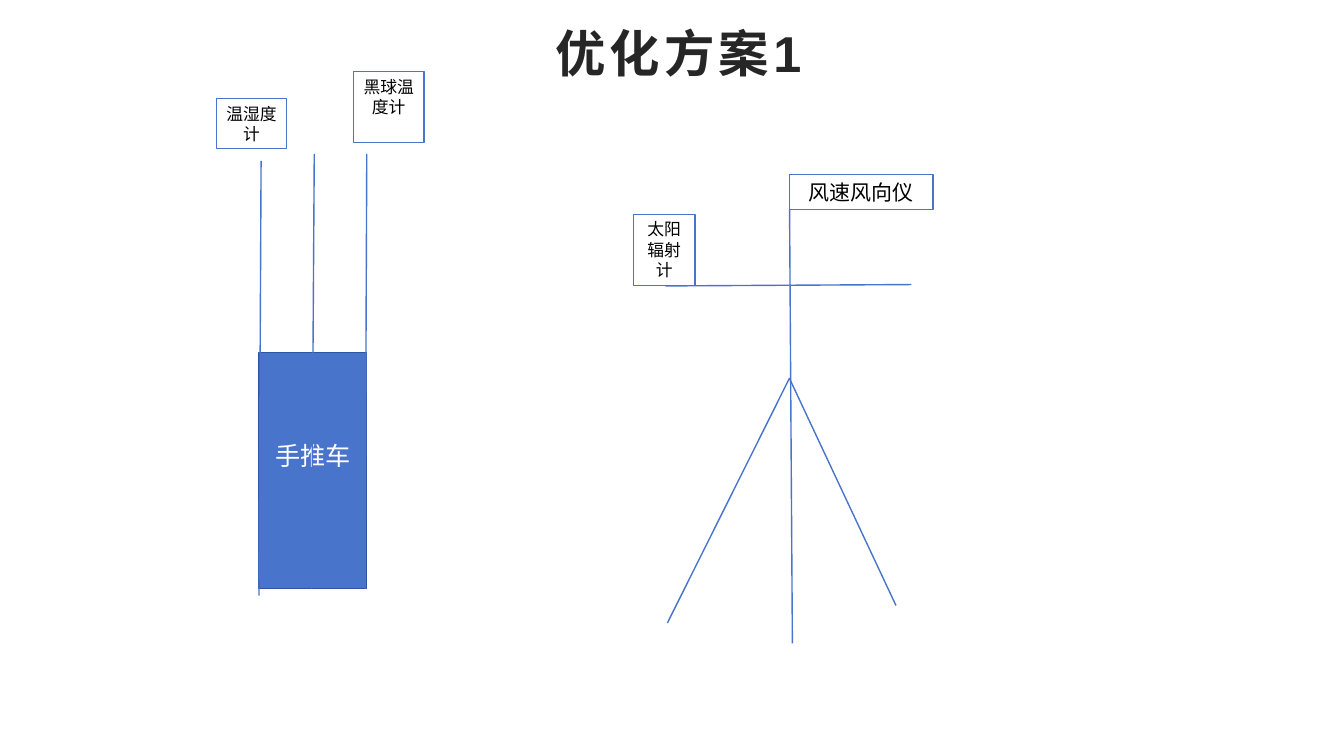
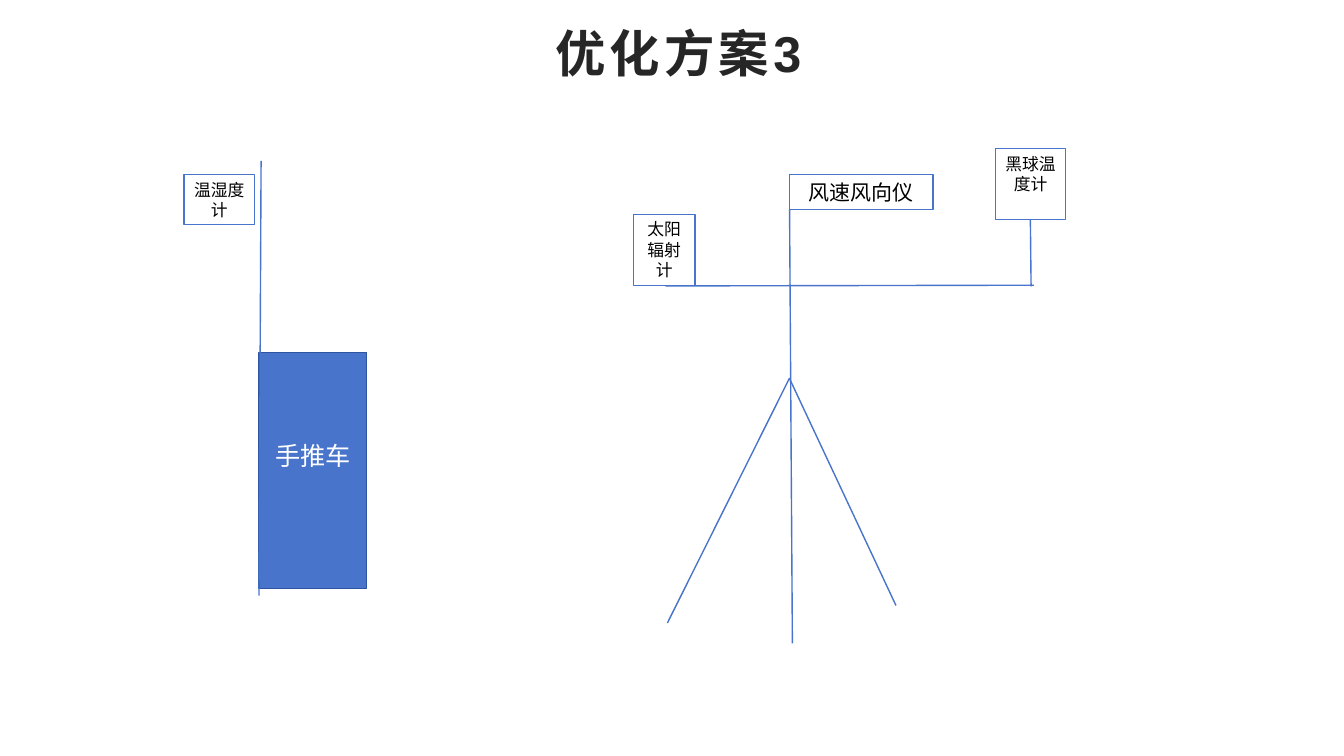
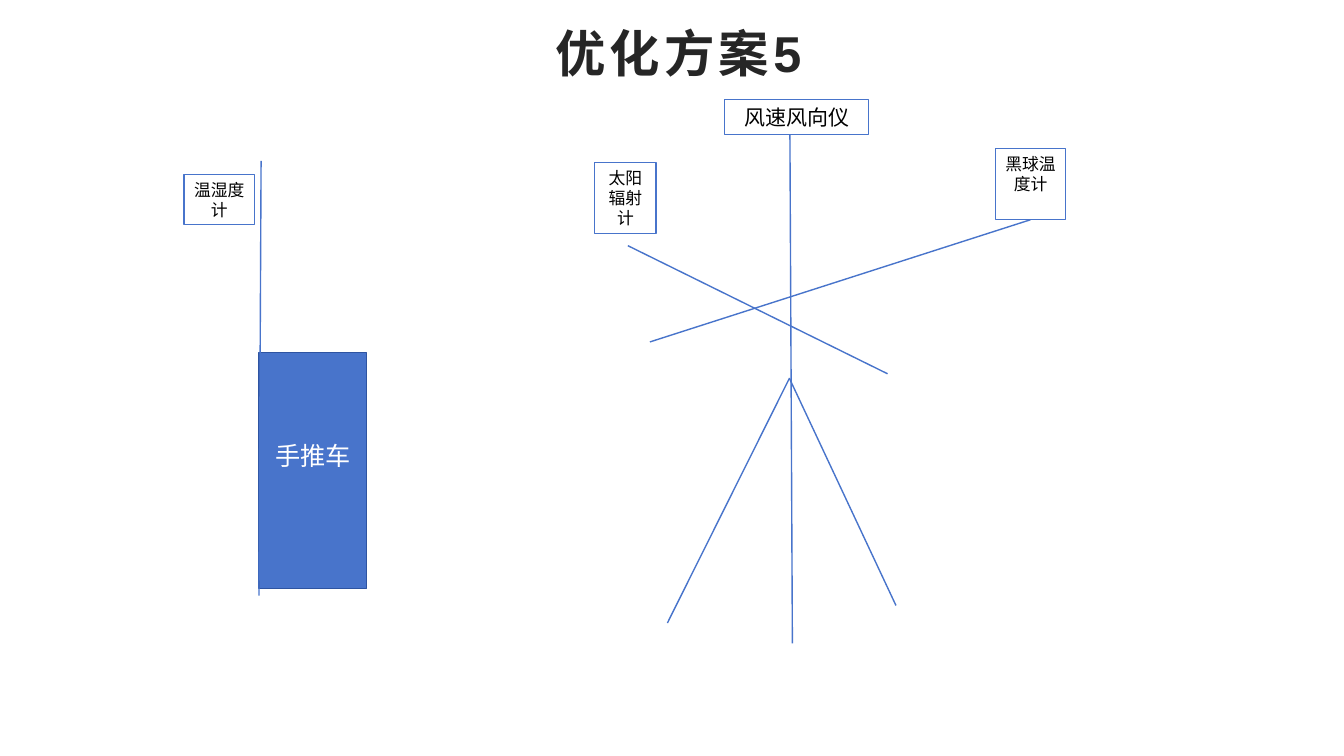
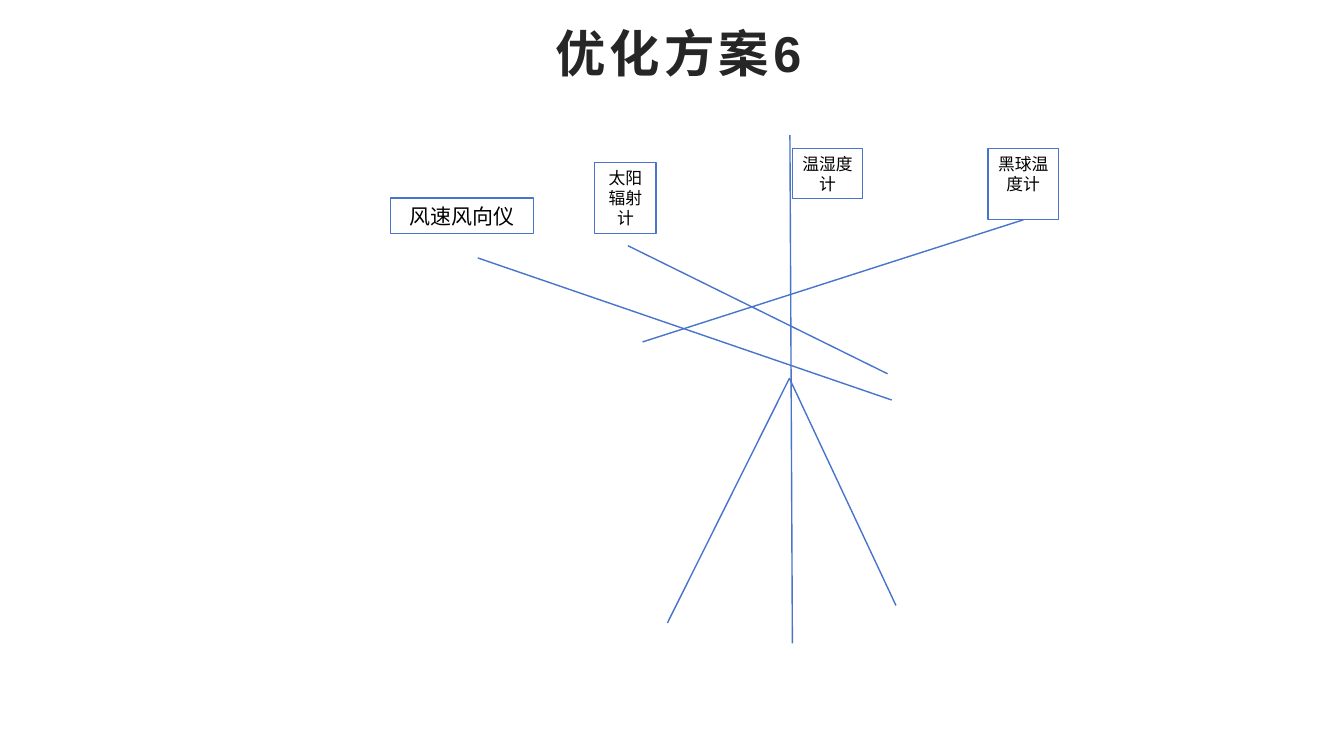
"""Builds four sketches of where weather instruments sit on a cart and a tripod."""
from lxml import etree
from pptx import Presentation
from pptx import util as u
from pptx.dml.color import RGBColor
from pptx.enum import lang, shapes, text
from pptx.oxml import ns

BLUE = RGBColor(0x48, 0x74, 0xCB)
NAVY = RGBColor(0x2E, 0x54, 0xA1)
DARK = RGBColor(0x26, 0x26, 0x26)
BLACK = RGBColor(0, 0, 0)
WHITE = RGBColor(0xFF, 0xFF, 0xFF)

WIND, THERMO, GLOBE, SOLAR = "风速风向仪", "温湿度计", "黑球温度计", "太阳辐射计"
LABEL_SIZES = {
    WIND: (102.5, 25.25, 15),
    THERMO: (50.25, 36, 12),
    GLOBE: (50.25, 51, 12),
    SOLAR: (44, 51, 12),
}


class Sketch:
    """Holds the deck style and draws on the current slide."""

    font = "Arial"
    line_width = 1

    def __init__(self):
        self.deck = Presentation()
        self.deck.slide_width, self.deck.slide_height = u.Pt(960), u.Pt(540)
        self.page = None

    def add_words(self, frame, words, size, color, bold=False):
        para = frame.paragraphs[0]
        para.alignment = text.PP_ALIGN.CENTER
        span = para.add_run()
        span.text = words
        span.font.name = self.font
        span.font.size = u.Pt(size)
        span.font.bold = bold
        span.font.color.rgb = color
        span.font.language_id = lang.MSO_LANGUAGE_ID.SIMPLIFIED_CHINESE
        return span

    def start(self, title):
        self.page = self.deck.slides.add_slide(self.deck.slide_layouts.get_by_name("Title Only"))
        box = self.page.shapes.title
        box.left, box.top, box.width, box.height = map(u.Pt, (52.5, 9.5, 864, 55.5))
        frame = box.text_frame
        frame.auto_size = text.MSO_AUTO_SIZE.NONE
        frame.vertical_anchor = text.MSO_ANCHOR.MIDDLE
        span = self.add_words(frame, title, 36, DARK, bold=True)
        span.font._element.set("spc", "300")

    def rectangle(self, left, top, width, height, line_color):
        box = self.page.shapes.add_shape(
            shapes.MSO_SHAPE.RECTANGLE, *map(u.Pt, (left, top, width, height)))
        box.shadow.inherit = False
        box.line.color.rgb = line_color
        box.line.width = u.Pt(self.line_width)
        box.text_frame.word_wrap = True
        return box

    def label(self, name, left, top):
        width, height, size = LABEL_SIZES[name]
        box = self.rectangle(left, top, width, height, BLUE)
        box.fill.background()
        frame = box.text_frame
        frame.vertical_anchor = text.MSO_ANCHOR.TOP
        frame.auto_size = text.MSO_AUTO_SIZE.SHAPE_TO_FIT_TEXT
        self.add_words(frame, name, size, BLACK)

    def rod(self, *ends):
        line = self.page.shapes.add_connector(
            shapes.MSO_CONNECTOR.STRAIGHT, *map(u.Pt, ends))
        line.line.color.rgb = BLUE
        line.line.width = u.Pt(self.line_width)
        etree.SubElement(line._element.spPr, ns.qn("a:effectLst"))

    def cart(self):
        box = self.rectangle(185, 252, 77, 168.5, NAVY)
        box.fill.solid()
        box.fill.fore_color.rgb = BLUE
        frame = box.text_frame
        frame.vertical_anchor = text.MSO_ANCHOR.MIDDLE
        frame.margin_bottom = u.Pt(25)
        self.add_words(frame, "手推车", 18, WHITE)
        self.rod(186.5, 115, 185, 425.5)

    def tripod(self, mast_left, mast_top):
        self.rod(564, 270, 476.75, 445)
        self.rod(564, 270.5, 640, 432.5)
        self.rod(mast_left, mast_top, 566, 459.5)

    def labels(self, places):
        for name, (left, top) in places.items():
            self.label(name, left, top)


sketch = Sketch()

sketch.start("优化方案1")
sketch.cart()
for pole_top, pole_foot in ((224.5, 222.5), (262, 260.75)):
    sketch.rod(pole_top, 110, pole_foot, 420.5)
sketch.tripod(564, 149.5)
sketch.labels({WIND: (564, 124.5), THERMO: (154.5, 70.25),
               GLOBE: (252.5, 51), SOLAR: (452.5, 153)})
sketch.rod(475.25, 204.25, 651, 203.25)

sketch.start("优化方案3")
sketch.cart()
sketch.tripod(564, 149.5)
sketch.labels({WIND: (564, 124.5), THERMO: (131.5, 124.5),
               GLOBE: (711, 106), SOLAR: (452.5, 153)})
sketch.rod(475.25, 204.25, 738.5, 203.75)
sketch.rod(736, 157, 736.5, 204.5)

sketch.start("优化方案5")
sketch.tripod(564.25, 96.5)
sketch.labels({WIND: (517.75, 71), GLOBE: (711, 106), SOLAR: (424.75, 116)})
sketch.rod(464.25, 244.25, 736, 157)
sketch.rod(448.5, 175.5, 634, 267)
sketch.cart()
sketch.label(THERMO, 131.5, 124.5)

sketch.start("优化方案6")
sketch.tripod(564.25, 96.5)
sketch.labels({WIND: (278.75, 141.5), THERMO: (566, 106),
               GLOBE: (705.75, 106), SOLAR: (424.75, 116)})
sketch.rod(459, 244.25, 731, 157)
sketch.rod(448.5, 175.5, 634, 267)
sketch.rod(341.25, 184.25, 637, 285.75)

sketch.deck.save("out.pptx")
